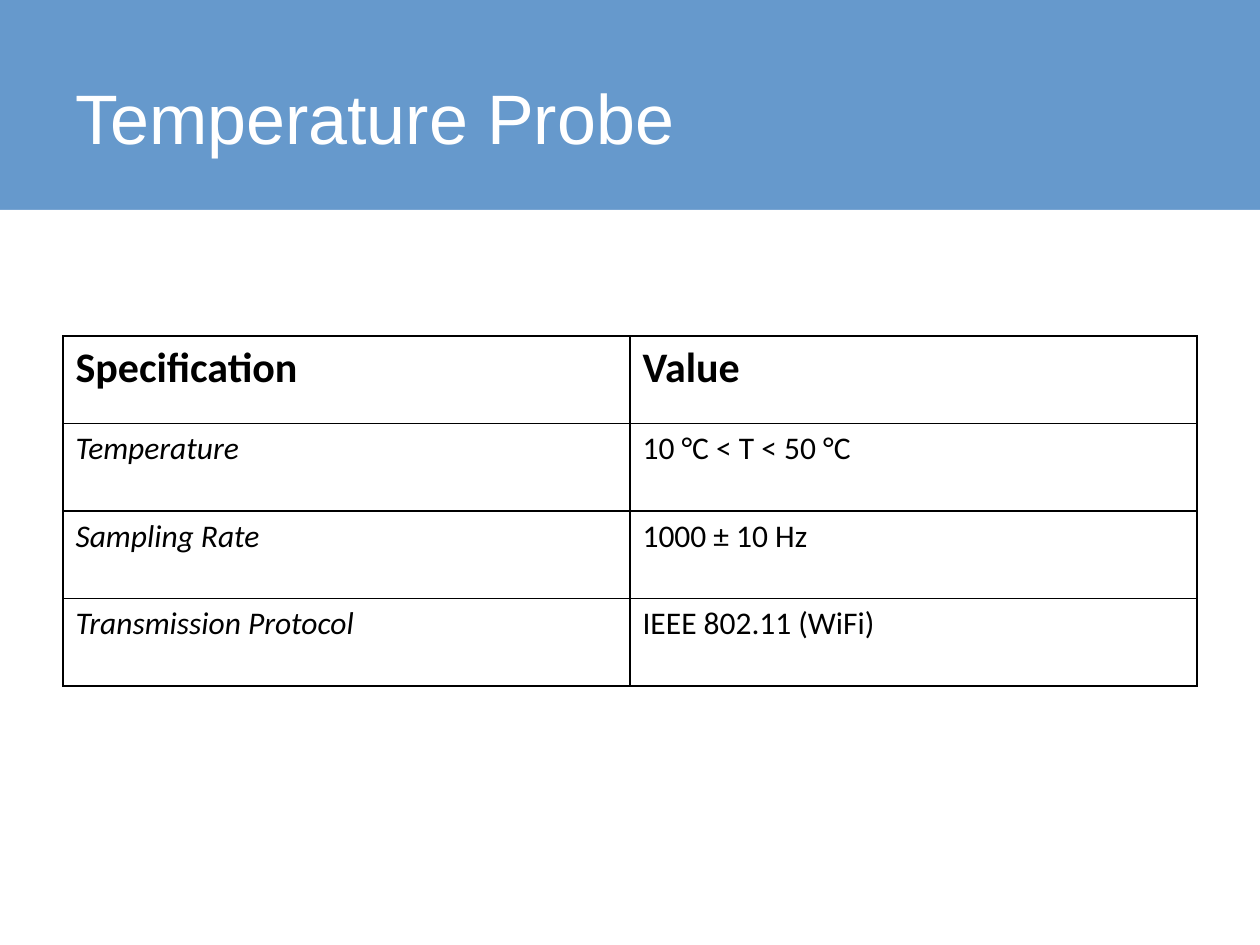
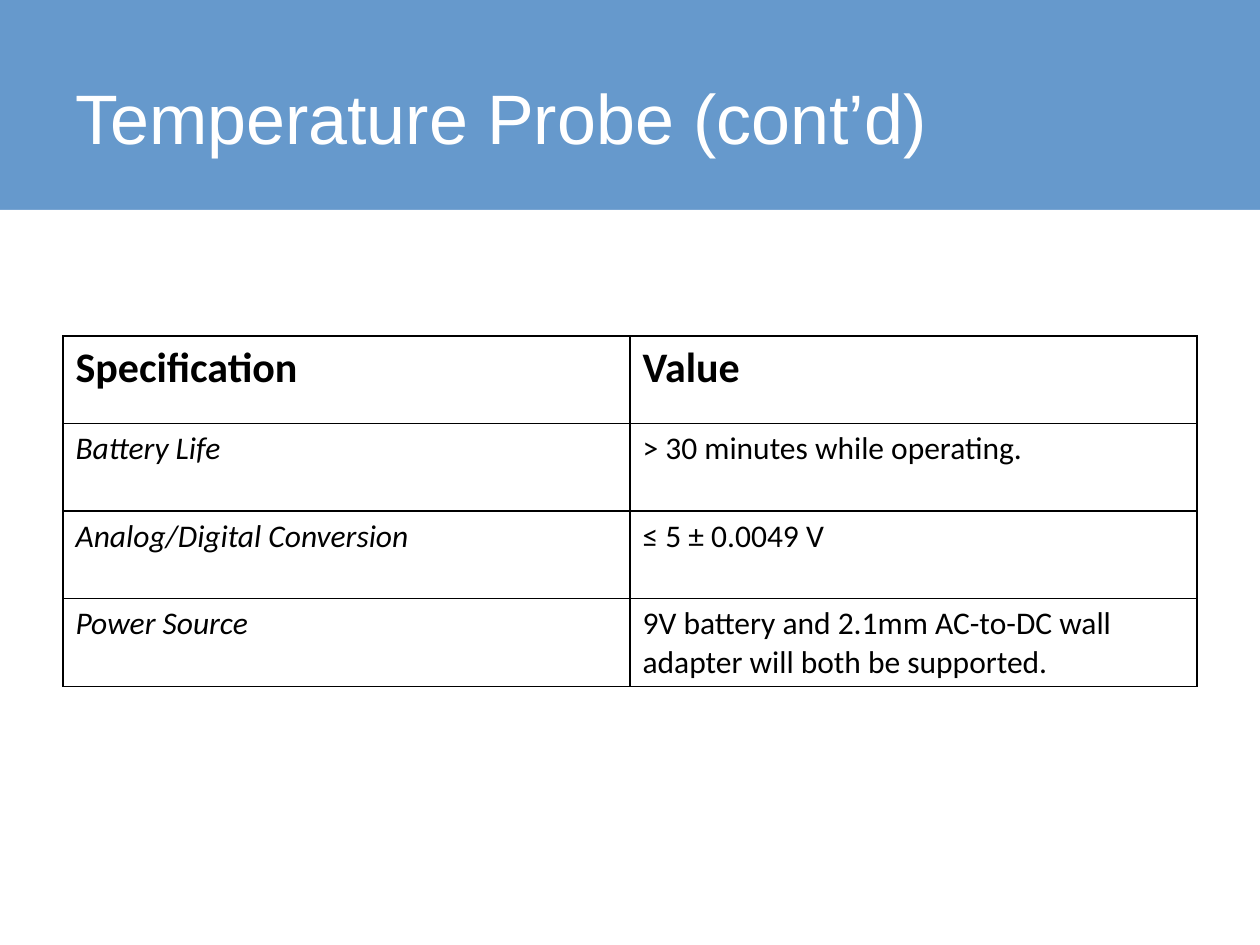
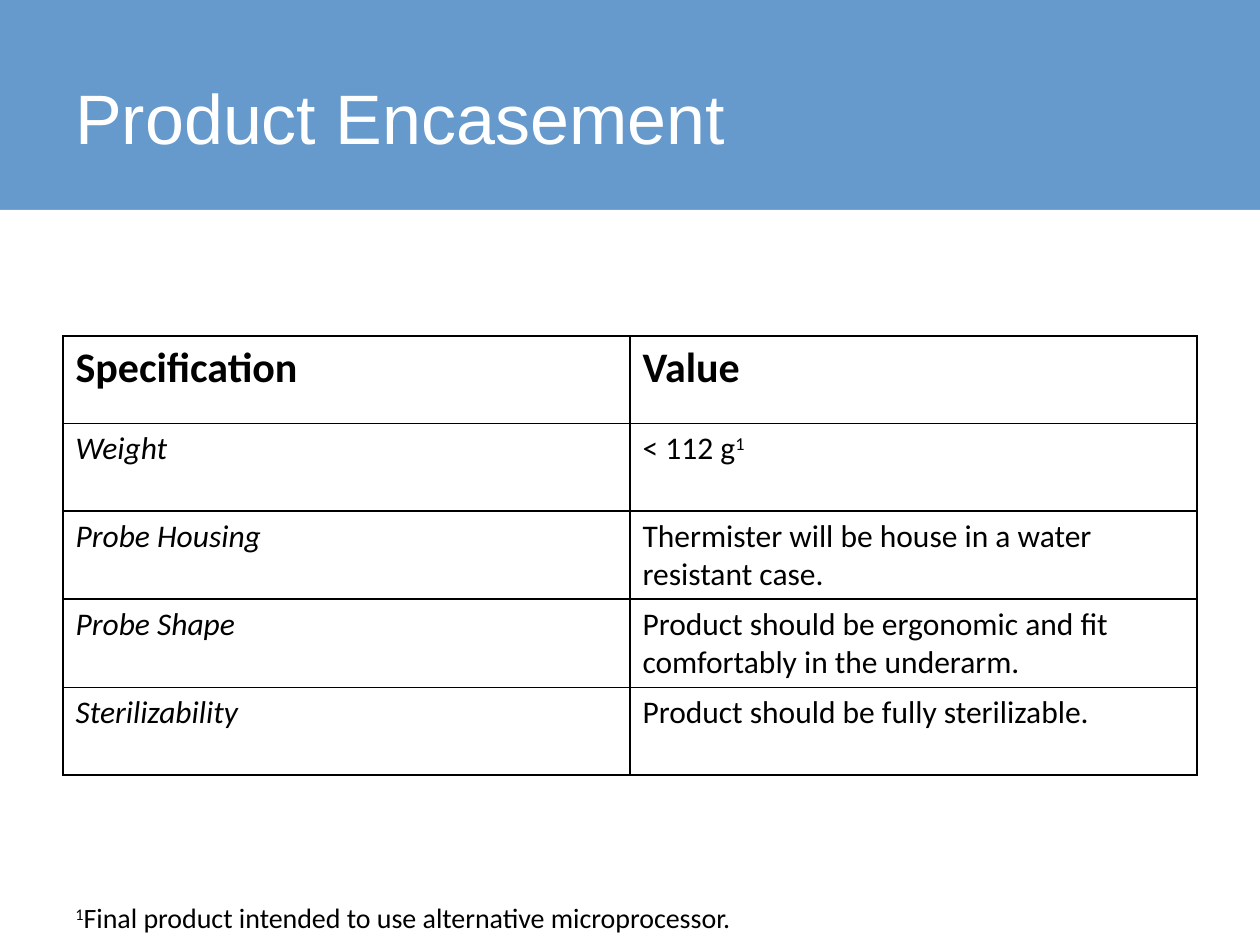
from lxml import etree
from pptx import Presentation
from pptx.dml.color import RGBColor
from pptx.enum.shapes import MSO_SHAPE
from pptx.enum.text import MSO_ANCHOR
from pptx.oxml.ns import qn
from pptx.util import Pt

RECT = MSO_SHAPE.RECTANGLE
MIDDLE = MSO_ANCHOR.MIDDLE

HEAD = ("Specification", "Value")
SLIDES = [
    {
        "title": "Temperature Probe",
        "rows": [
            ("Temperature", "10 °C < T < 50 °C"),
            ("Sampling Rate", "1000 ± 10 Hz"),
            ("Transmission Protocol", "IEEE 802.11 (WiFi)"),
        ],
    },
    {
        "title": "Temperature Probe (cont’d)",
        "rows": [
            ("Battery Life", "> 30 minutes while operating."),
            ("Analog/Digital Conversion", "≤ 5 ± 0.0049 V"),
            ("Power Source", "9V battery and 2.1mm AC-to-DC wall adapter will both be supported."),
        ],
    },
    {
        "title": "Product Encasement",
        "rows": [
            ("Weight", "< 112 g^1^"),
            ("Probe Housing", "Thermister will be house in a water resistant case."),
            ("Probe Shape", "Product should be ergonomic and fit comfortably in the underarm."),
            ("Sterilizability", "Product should be fully sterilizable."),
        ],
        "note": "^1^Final product intended to use alternative microprocessor.",
    },
]

COLORS = {"band": "6699CC", "page": "FFFFFF", "ink": "000000"}
WIDTH, HEIGHT = 720, 540
BAND = 120
LEFT, TOP = 36, 192
SPAN = WIDTH - 2 * LEFT
ROW = 50
EDGES = ("a:lnL", "a:lnR", "a:lnT", "a:lnB")

STYLES = {
    "title": {"name": "Arial", "size": Pt(40), "color": "page"},
    "head": {"name": "Calibri", "size": Pt(24), "bold": True, "color": "ink"},
    "label": {"name": "Calibri", "size": Pt(18), "italic": True, "color": "ink"},
    "value": {"name": "Calibri", "size": Pt(18), "color": "ink"},
    "note": {"name": "Calibri", "size": Pt(16), "color": "ink"},
}


def paint(fill, color):
    fill.solid()
    fill.fore_color.rgb = RGBColor.from_string(COLORS[color])


def write(frame, text, style):
    para = frame.paragraphs[0]
    for i, part in enumerate(text.split("^")):
        if not part:
            continue
        run = para.add_run()
        run.text = part
        for key, val in STYLES[style].items():
            if key == "color":
                run.font.color.rgb = RGBColor.from_string(COLORS[val])
            else:
                setattr(run.font, key, val)
        if i % 2:
            run.font._element.set("baseline", "30000")


def add_text(slide, box, text, style, wrap=True):
    frame = slide.shapes.add_textbox(*map(Pt, box)).text_frame
    frame.word_wrap = wrap
    write(frame, text, style)
    return frame


def add_base(slide, title):
    paint(slide.background.fill, "band")
    panel = slide.shapes.add_shape(RECT, 0, Pt(BAND), Pt(WIDTH), Pt(HEIGHT - BAND))
    panel.shadow.inherit = False
    paint(panel.fill, "page")
    panel.line.fill.background()
    add_text(slide, (LEFT, 21.6, SPAN, 90), title, "title").vertical_anchor = MIDDLE


def add_edges(cell):
    props = cell._tc.get_or_add_tcPr()
    for i, edge in enumerate(EDGES):
        line = etree.Element(qn(edge), w=str(Pt(1)))
        fill = etree.SubElement(line, qn("a:solidFill"))
        etree.SubElement(fill, qn("a:srgbClr"), val=COLORS["ink"])
        props.insert(i, line)


def add_grid(slide, rows):
    rows = [HEAD, *rows]
    table = slide.shapes.add_table(
        len(rows), len(HEAD), Pt(LEFT), Pt(TOP), Pt(SPAN), Pt(ROW * len(rows))
    ).table
    for r, row in enumerate(rows):
        for c, text in enumerate(row):
            cell = table.cell(r, c)
            paint(cell.fill, "page")
            add_edges(cell)
            write(cell.text_frame, text, ("label", "value")[c] if r else "head")


def main():
    deck = Presentation()
    deck.slide_width, deck.slide_height = Pt(WIDTH), Pt(HEIGHT)
    for data in SLIDES:
        slide = deck.slides.add_slide(deck.slide_layouts[6])
        add_base(slide, data["title"])
        add_grid(slide, data["rows"])
        if "note" in data:
            add_text(slide, (LEFT, 511.2, 394.56, 26.64), data["note"], "note", False)
    deck.save("out.pptx")


if __name__ == "__main__":
    main()
